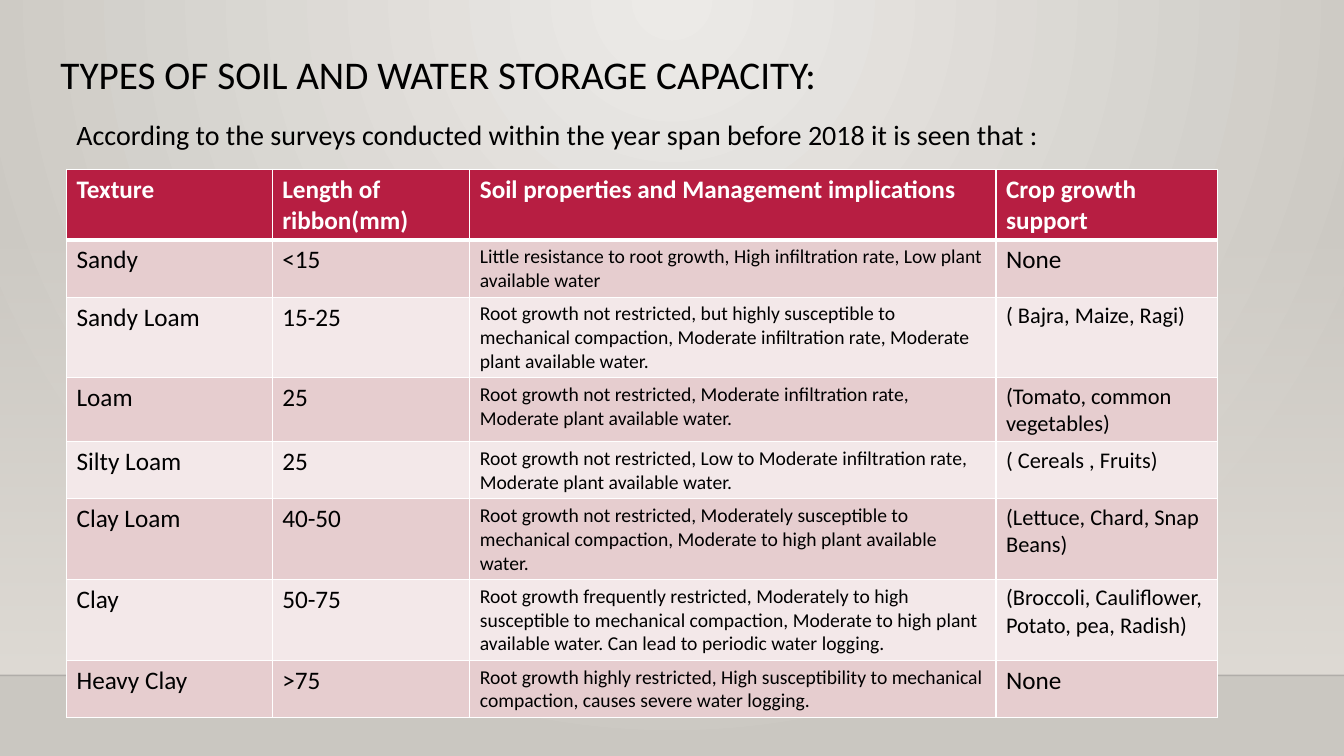
from lxml import etree
from pptx import Presentation
from pptx.dml.color import RGBColor
from pptx.enum import shapes, text
from pptx.oxml import ns
from pptx.util import Inches, Pt

FONT = "Calibri"
BLACK, WHITE, CRIMSON = "000000", "FFFFFF", "B71E42"
BANDS = ["E6CDCF", "F3E8E9"]
HEADING = "TYPES OF SOIL AND WATER STORAGE CAPACITY:"
INTRO = "According to the surveys conducted within the year span before 2018 it is seen that :"
HEADERS = ["Texture", "Length of ribbon(mm)", "Soil properties and Management implications", "Crop growth support"]
SOILS = [
    ("Sandy", "<15",
     "Little resistance to root growth, High infiltration rate, Low plant available water",
     "None"),
    ("Sandy Loam", "15-25",
     "Root growth not restricted, but highly susceptible to mechanical compaction, "
     "Moderate infiltration rate, Moderate plant available water.",
     "( Bajra, Maize, Ragi)"),
    ("Loam", "25",
     "Root growth not restricted, Moderate infiltration rate, Moderate plant available water.",
     "(Tomato, common vegetables)"),
    ("Silty Loam", "25",
     "Root growth not restricted, Low to Moderate infiltration rate, Moderate plant available water.",
     "( Cereals , Fruits)"),
    ("Clay Loam", "40-50",
     "Root growth not restricted, Moderately susceptible to mechanical compaction, "
     "Moderate to high plant available water.",
     "(Lettuce, Chard, Snap Beans)"),
    ("Clay", "50-75",
     "Root growth frequently restricted, Moderately to high susceptible to mechanical compaction, "
     "Moderate to high plant available water. Can lead to periodic water logging.",
     "(Broccoli, Cauliflower, Potato, pea, Radish)"),
    ("Heavy Clay", ">75",
     "Root growth highly restricted, High susceptibility to mechanical compaction, "
     "causes severe water logging.",
     "None"),
]
COLUMN_WIDTHS = [2.04, 1.96, 5.22, 2.2]
ROW_HEIGHTS = [0.67, 0.55, 0.75, 0.5, 0.51, 0.48, 0.77, 0.54]
WIDTH, HEIGHT, HORIZON = 13.33, 7.5, 6.7


def rgb(value):
    return RGBColor.from_string(value)


def add_xml(parent, tag, **attributes):
    return etree.SubElement(parent, ns.qn(tag), attributes)


def write(frame, content, size=18, color=BLACK, bold=False, spacing=None, before=None):
    frame.word_wrap = True
    paragraph = frame.paragraphs[0]
    paragraph.alignment = text.PP_ALIGN.LEFT
    if spacing:
        paragraph.line_spacing = spacing
    if before:
        paragraph.space_before = Pt(before)
    run = paragraph.add_run()
    run.text = content
    run.font.name = FONT
    run.font.size = Pt(size)
    run.font.bold = bold
    run.font.color.rgb = rgb(color)


def gradient(fill, parent, colors):
    fill.gradient()
    for stop, color in zip(fill.gradient_stops, colors):
        stop.color.rgb = rgb(color)
    element = next(parent.iter(ns.qn("a:gradFill")))
    element.remove(element.find(ns.qn("a:lin")))
    return element


def border(cell, header):
    properties = cell._tc.get_or_add_tcPr()
    for position, side in enumerate(["L", "R", "T", "B"]):
        points = 3 if header and side == "B" else 1
        edge = etree.Element(ns.qn(f"a:ln{side}"), w=str(Pt(points)))
        add_xml(add_xml(edge, "a:solidFill"), "a:srgbClr", val=WHITE)
        properties.insert(position, edge)


def main():
    deck = Presentation()
    deck.slide_width, deck.slide_height = Inches(WIDTH), Inches(HEIGHT)
    slide = deck.slides.add_slide(deck.slide_layouts[5])

    glow = gradient(slide.background.fill, slide.element, ["ECEAE7", "CAC7C1"])
    focus = add_xml(glow, "a:path", path="circle")
    add_xml(focus, "a:fillToRect", l="43000", t="0", r="43000", b="100000")

    wall = slide.shapes.add_shape(
        shapes.MSO_SHAPE.RECTANGLE, 0, Inches(2.21), Inches(WIDTH), Inches(HORIZON - 2.21))
    wall.shadow.inherit = False
    wall.line.fill.background()
    fade = gradient(wall.fill, wall.element, ["DFDBD5", "DFDBD5"])
    add_xml(next(fade.iter(ns.qn("a:srgbClr"))), "a:alpha", val="0")
    add_xml(fade, "a:lin", ang="5400000", scaled="0")

    horizon = slide.shapes.add_connector(
        shapes.MSO_CONNECTOR.STRAIGHT, 0, Inches(HORIZON), Inches(WIDTH), Inches(HORIZON))
    horizon.line.width = Pt(1)
    horizon.line.color.rgb = rgb("000001")
    add_xml(next(horizon.element.iter(ns.qn("a:srgbClr"))), "a:alpha", val="20000")
    add_xml(horizon.element.spPr, "a:effectLst")

    heading = slide.shapes.title
    heading.left, heading.top = Inches(0.5), Inches(0.5)
    heading.width, heading.height = Inches(11.59), Inches(0.63)
    heading.text_frame.auto_size = text.MSO_AUTO_SIZE.NONE
    heading.text_frame.vertical_anchor = text.MSO_ANCHOR.TOP
    write(heading.text_frame, HEADING, size=28, spacing=0.9)

    intro = slide.shapes.add_textbox(Inches(0.66), Inches(1.05), Inches(11.43), Inches(5.45))
    write(intro.text_frame, INTRO, size=20, spacing=1.2, before=10)

    soils = slide.shapes.add_table(
        len(SOILS) + 1, len(HEADERS), Inches(0.66), Inches(1.68),
        Inches(sum(COLUMN_WIDTHS)), Inches(sum(ROW_HEIGHTS))).table
    for column, width in zip(soils.columns, COLUMN_WIDTHS):
        column.width = Inches(width)
    for row, height in zip(soils.rows, ROW_HEIGHTS):
        row.height = Inches(height)

    for r, values in enumerate([HEADERS, *SOILS]):
        header = r == 0
        for c, value in enumerate(values):
            cell = soils.cell(r, c)
            cell.fill.solid()
            cell.fill.fore_color.rgb = rgb(CRIMSON if header else BANDS[(r - 1) % 2])
            border(cell, header)
            if header:
                write(cell.text_frame, value, color=WHITE, bold=True)
            else:
                crop_size = 18 if value == "None" else 16
                write(cell.text_frame, value, size=[18, 18, 14, crop_size][c])

    deck.save("out.pptx")


if __name__ == "__main__":
    main()
